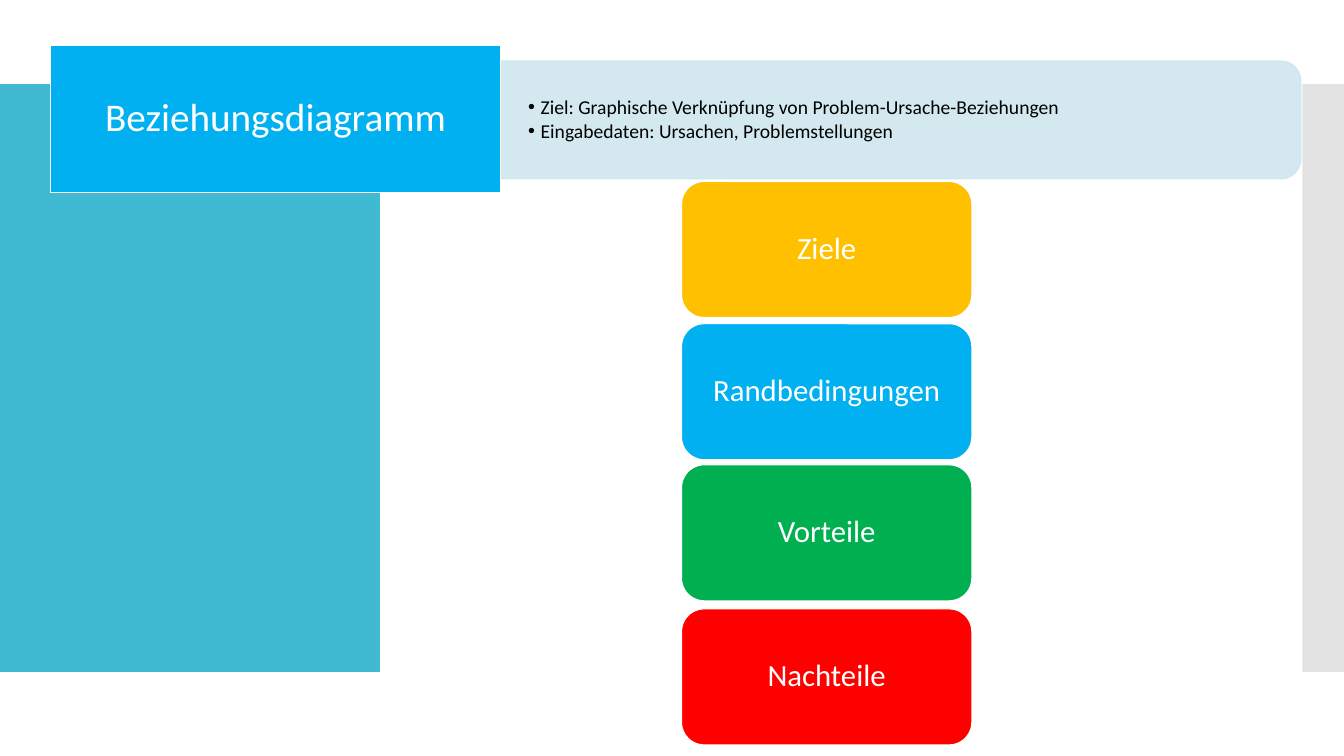
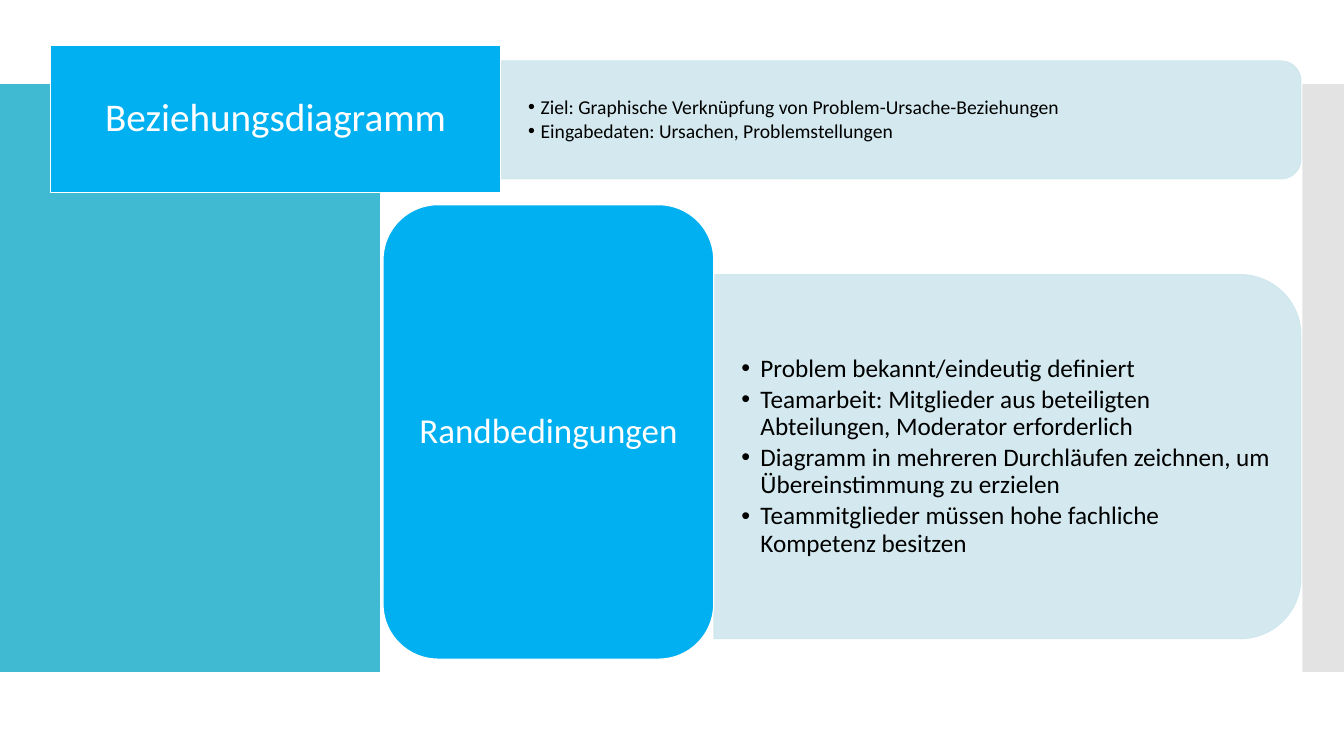
"""Builds two slides on the relationship diagram."""
from lxml.etree import SubElement
from pptx import Presentation
from pptx.dml.color import RGBColor
from pptx.enum.shapes import MSO_SHAPE
from pptx.enum.text import MSO_ANCHOR, MSO_AUTO_SIZE, PP_ALIGN
from pptx.oxml.ns import qn
from pptx.util import Pt

FONT = "Calibri"
HEX = {
    "teal": "40BAD2", "grey": "C8C8C8", "pale": "CFE7EE", "white": "FFFFFF",
    "black": "000000", "amber": "FFC000", "blue": "00B0F0",
    "green": "00B050", "red": "FF0000",
}
TITLE = "Beziehungsdiagramm"
INTRO = [
    "Ziel: Graphische Verknüpfung von Problem-Ursache-Beziehungen",
    "Eingabedaten: Ursachen, Problemstellungen",
]
CARDS = [
    ("Ziele", "amber", 129.6),
    ("Randbedingungen", "blue", 231.2),
    ("Vorteile", "green", 332),
    ("Nachteile", "red", 434.9),
]
TOPIC = "Randbedingungen"
TERMS = [
    "Problem bekannt/eindeutig definiert",
    "Teamarbeit: Mitglieder aus beteiligten Abteilungen, Moderator erforderlich",
    "Diagramm in mehreren Durchläufen zeichnen, um Übereinstimmung zu erzielen",
    "Teammitglieder müssen hohe fachliche Kompetenz besitzen",
]
BANDS = [("teal", (0, 60, 271.4, 420), 100), ("grey", (930.2, 60, 29.8, 420), 50)]
HEAD = (36, 32.6, 321.6, 105.2)
STRIP = (357.6, 43.6, 571.6, 84.2)
BLOCK = (273.6, 146.2, 236.2, 324.6)
PANEL = (510, 196.2, 419.2, 260)
CARD_X, CARD_W, CARD_H = 486.8, 207.4, 97.2


def rgb(name):
    return RGBColor.from_string(HEX[name])


def place(shape, box):
    shape.left, shape.top, shape.width, shape.height = map(Pt, box)


def paint(shape, fill, line=None, alpha=100):
    shape.fill.solid()
    shape.fill.fore_color.rgb = rgb(fill)
    if line:
        shape.line.color.rgb = rgb(line)
        shape.line.width = Pt(0.85)
    else:
        shape.line.fill.background()
    if alpha < 100:
        for tone in shape.element.spPr.iter(qn("a:srgbClr")):
            SubElement(tone, qn("a:alpha"), val=str(alpha * 1000))


def add(slide, kind, box):
    shape = slide.shapes.add_shape(kind, *map(Pt, box))
    shape.shadow.inherit = False
    return shape


def write(shape, lines, size, color, align, after=0):
    frame = shape.text_frame
    frame.word_wrap = True
    frame.auto_size = MSO_AUTO_SIZE.NONE
    frame.vertical_anchor = MSO_ANCHOR.MIDDLE
    for i, line in enumerate(lines):
        para = frame.add_paragraph() if i else frame.paragraphs[0]
        para.alignment = align
        para.line_spacing = 0.9
        para.space_before = Pt(0)
        para.space_after = Pt(after)
        run = para.add_run()
        run.text = line
        run.font.name = FONT
        run.font.size = Pt(size)
        run.font.color.rgb = rgb(color)
    return frame


def label(shape, text, size, fill):
    paint(shape, fill, "white")
    write(shape, [text], size, "white", PP_ALIGN.CENTER)


def panel(slide, box, body, lines, size, hang):
    x, y, w, h = box
    spot = (x + (w - h) / 2, y + (h - w) / 2, h, w)
    back = add(slide, MSO_SHAPE.ROUND_2_SAME_RECTANGLE, spot)
    back.rotation = 90
    paint(back, "pale", "pale", 90)
    place(body, box)
    frame = write(body, lines, size, "black", PP_ALIGN.LEFT, round(size * 0.15, 1))
    frame.margin_left = frame.margin_right = Pt(19.6)
    frame.margin_top = frame.margin_bottom = Pt(9.8)
    for para in frame.paragraphs:
        props = para._p.get_or_add_pPr()
        props.set("marL", str(Pt(hang)))
        props.set("indent", str(-Pt(hang)))
    back.element.addnext(body.element)


def head(slide):
    title = slide.shapes.title
    panel(slide, STRIP, slide.placeholders[1], INTRO, 14, 9)
    place(title, HEAD)
    SubElement(title.element.spPr, qn("a:prstGeom"), prst="roundRect")
    label(title, TITLE, 28, "blue")
    title.element.getparent().append(title.element)


def bands(deck, slide):
    tree = deck.slide_master.placeholders[0].element.getparent()
    for i, (fill, box, alpha) in enumerate(BANDS):
        band = add(slide, MSO_SHAPE.RECTANGLE, box)
        paint(band, fill, alpha=alpha)
        band.element.nvSpPr.cNvPr.set("id", str(20 + i))
        tree.insert(2 + i, band.element)


def cards(slide):
    for text, fill, y in CARDS:
        card = add(slide, MSO_SHAPE.ROUNDED_RECTANGLE, (CARD_X, y, CARD_W, CARD_H))
        label(card, text, 22, fill)


def terms(slide):
    panel(slide, PANEL, slide.placeholders[2], TERMS, 18, 13.6)
    block = add(slide, MSO_SHAPE.ROUNDED_RECTANGLE, BLOCK)
    label(block, TOPIC, 25, "blue")


def main():
    deck = Presentation()
    deck.slide_width, deck.slide_height = Pt(960), Pt(540)
    for layout, fill in ((1, cards), (3, terms)):
        slide = deck.slides.add_slide(deck.slide_layouts[layout])
        if fill is cards:
            bands(deck, slide)
        fill(slide)
        head(slide)
    deck.save("out.pptx")


if __name__ == "__main__":
    main()
